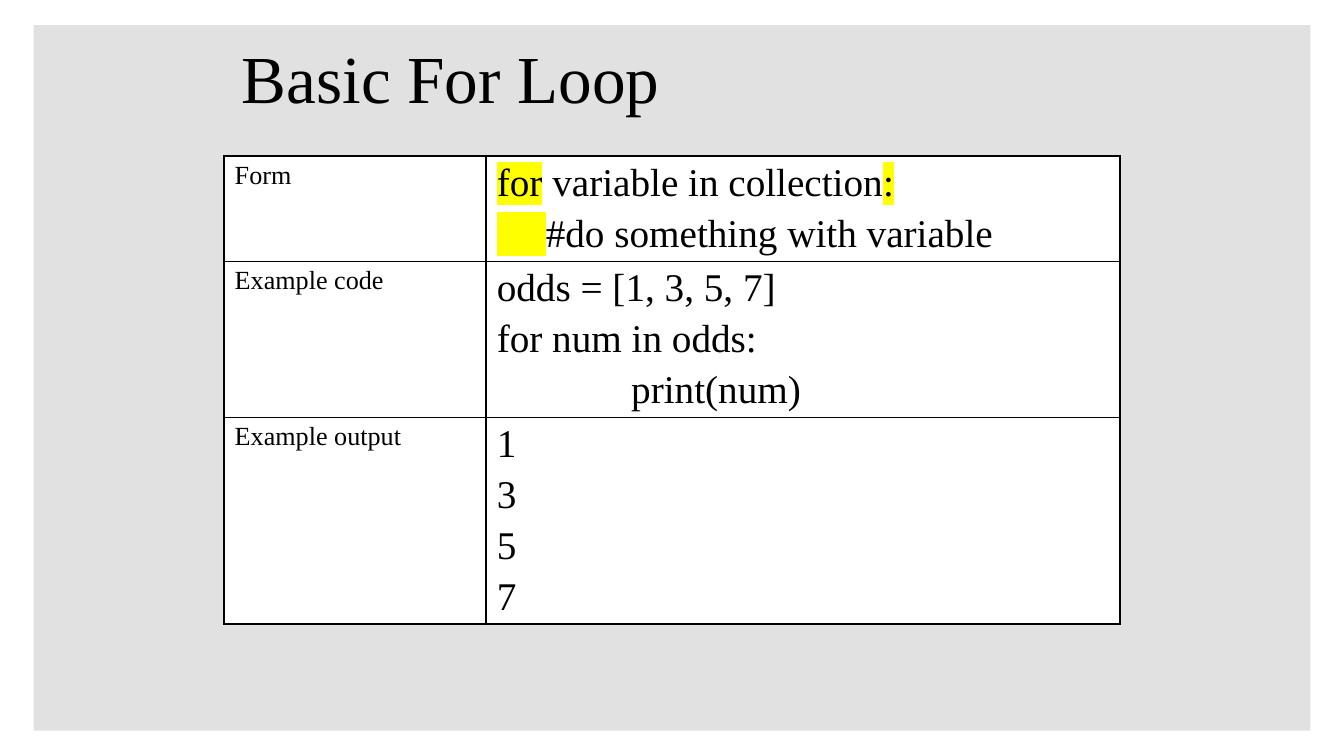
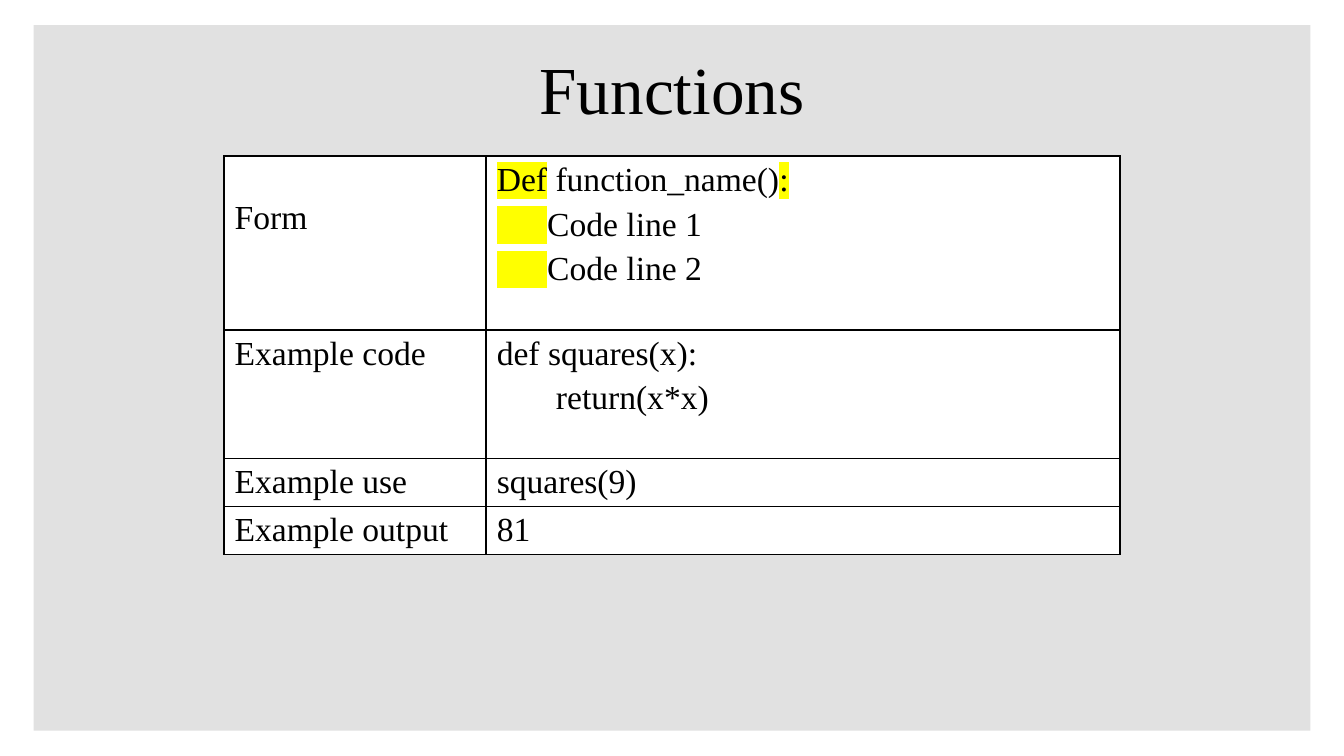
import pptx
import pptx.util
import pptx.dml.color
import pptx.enum.shapes
import pptx.enum.text
import lxml.etree
import pptx.oxml.ns

BLACK = pptx.dml.color.RGBColor(0x00, 0x00, 0x00)
WHITE = pptx.dml.color.RGBColor(0xFF, 0xFF, 0xFF)
PANEL_GREY = pptx.dml.color.RGBColor(0xE1, 0xE1, 0xE1)
YELLOW = pptx.dml.color.RGBColor(0xFF, 0xFF, 0x00)
FONT = "Times New Roman"

# Widescreen slide with a square grid: 120 columns across
SLIDE_W = pptx.util.Inches(10)
SLIDE_H = SLIDE_W * 9 // 16
UNIT = SLIDE_W / 120
PANEL_BOX = (3, 2.25, 114, 63)
TABLE_LEFT, TABLE_TOP, TABLE_W = 20, 13.95, 80
LABEL_W = 23.4
TITLE_W, TITLE_H = 71.3, 7.2
LINE_GAP = 4


def grid(n):
    return round(n * UNIT)


def sub(parent, tag, **attrs):
    return lxml.etree.SubElement(parent, pptx.oxml.ns.qn(tag), **attrs)


def set_margins(target, side, top, bottom):
    target.margin_left = target.margin_right = pptx.util.Inches(side)
    target.margin_top = pptx.util.Inches(top)
    target.margin_bottom = pptx.util.Inches(bottom)


def add_text(p, text, size, highlight=None):
    r = p.add_run()
    r.text = text
    r.font.size = pptx.util.Pt(size)
    r.font.color.rgb = BLACK
    r.font.name = FONT
    if highlight is not None:
        # The highlight belongs between the text fill and the typeface
        rPr = r.font.fill._xPr
        mark = sub(rPr, "a:highlight")
        sub(mark, "a:srgbClr", val=str(highlight))
        rPr.find(pptx.oxml.ns.qn("a:latin")).addprevious(mark)


def add_panel(prs, slide):
    """Draw the grey panel and move it to the master, behind everything."""
    sp = slide.shapes.add_shape(
        pptx.enum.shapes.MSO_SHAPE.RECTANGLE, *map(grid, PANEL_BOX))
    sp.shadow.inherit = False
    sp.fill.solid()
    sp.fill.fore_color.rgb = PANEL_GREY
    sp.line.fill.background()
    prs.slide_master.shapes.element.insert(2, sp.element)


def set_title(slide, text, left, top):
    title = slide.shapes.title
    title.left, title.top = grid(left), grid(top)
    title.width, title.height = grid(TITLE_W), grid(TITLE_H)
    tf = title.text_frame
    tf.word_wrap = True
    tf.auto_size = pptx.enum.text.MSO_AUTO_SIZE.NONE
    tf.vertical_anchor = pptx.enum.text.MSO_ANCHOR.MIDDLE
    set_margins(tf, 0.07, 0.04, 0.04)
    p = tf.paragraphs[0]
    p.alignment = pptx.enum.text.PP_ALIGN.CENTER
    add_text(p, text, 36)


def style_cell(cell, drop=0):
    set_margins(cell, 0.08, 0.04 + drop, 0.04)
    cell.fill.solid()
    cell.fill.fore_color.rgb = WHITE
    tcPr = cell._tc.get_or_add_tcPr()
    for i, side in enumerate(("a:lnL", "a:lnR", "a:lnT", "a:lnB")):
        ln = sub(tcPr, side, w=str(pptx.util.Pt(1)))
        sub(sub(ln, "a:solidFill"), "a:srgbClr", val=str(BLACK))
        tcPr.insert(i, ln)


def fill_code(cell, lines, size, indent):
    """A line is a string, or (text, highlighted) pairs; a leading tab indents it."""
    tf = cell.text_frame
    for i, line in enumerate(lines):
        p = tf.add_paragraph() if i else tf.paragraphs[0]
        p.space_before = pptx.util.Pt(LINE_GAP if i else 0)
        runs = [(line, False)] if isinstance(line, str) else line
        for text, marked in runs:
            if text.startswith("\t"):
                p._p.get_or_add_pPr().set(
                    "marL", str(pptx.util.Inches(indent)))
            add_text(p, text.lstrip("\t"), size, YELLOW if marked else None)


def add_code_table(slide, rows, label_size, code_size, indent, label_drop=0):
    height = sum(row[0] for row in rows)
    table = slide.shapes.add_table(
        len(rows), 2, grid(TABLE_LEFT), grid(TABLE_TOP),
        grid(TABLE_W), grid(height)).table
    table.first_row = table.horz_banding = False
    table.columns[0].width = grid(LABEL_W)
    table.columns[1].width = grid(TABLE_W - LABEL_W)
    for i, (row_h, label, lines) in enumerate(rows):
        table.rows[i].height = grid(row_h)
        style_cell(table.cell(i, 0), 0 if i else label_drop)
        style_cell(table.cell(i, 1))
        add_text(table.cell(i, 0).text_frame.paragraphs[0], label, label_size)
        fill_code(table.cell(i, 1), lines, code_size, indent)


def build_for_loop(slide):
    set_title(slide, "Basic For Loop", 4.6, 3.25)
    rows = [
        (9.3, "Form", [
            [("for", True), (" variable in collection", False), (":", True)],
            [(" " * 5, True), ("#do something with variable", False)]]),
        (13.85, "Example code",
         ["odds = [1, 3, 5, 7]", "for num in odds:", "\tprint(num)"]),
        (18.45, "Example output", ["1", "3", "5", "7"]),
    ]
    add_code_table(slide, rows, 14, 21, 1)


def build_functions(slide):
    set_title(slide, "Functions", (120 - TITLE_W) / 2, 4.2)
    body = [[(" " * 6, True), (f"Code line {n}", False)] for n in (1, 2)]
    rows = [
        (15.5, "Form", [
            [("Def", True), (" function_name()", False), (":", True)], *body]),
        (11.5, "Example code", ["def squares(x):", "\treturn(x*x)"]),
        (4.2, "Example use", ["squares(9)"]),
        (4.2, "Example output", ["81"]),
    ]
    add_code_table(slide, rows, 18, 18, 0.44, label_drop=0.28)


def main():
    prs = pptx.Presentation()
    prs.slide_width, prs.slide_height = SLIDE_W, SLIDE_H
    title_only = prs.slide_layouts[5]
    for build in (build_for_loop, build_functions):
        build(prs.slides.add_slide(title_only))
    add_panel(prs, prs.slides[0])
    prs.save("out.pptx")


if __name__ == "__main__":
    main()
